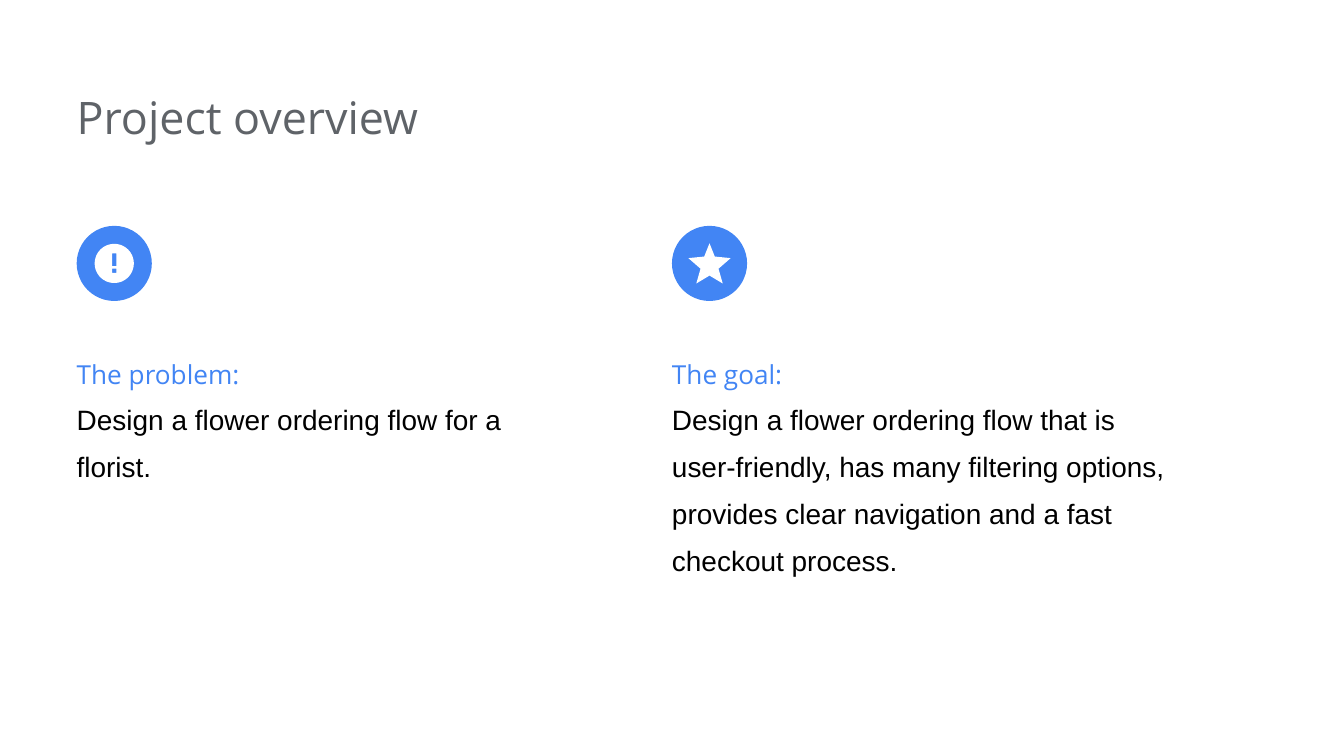
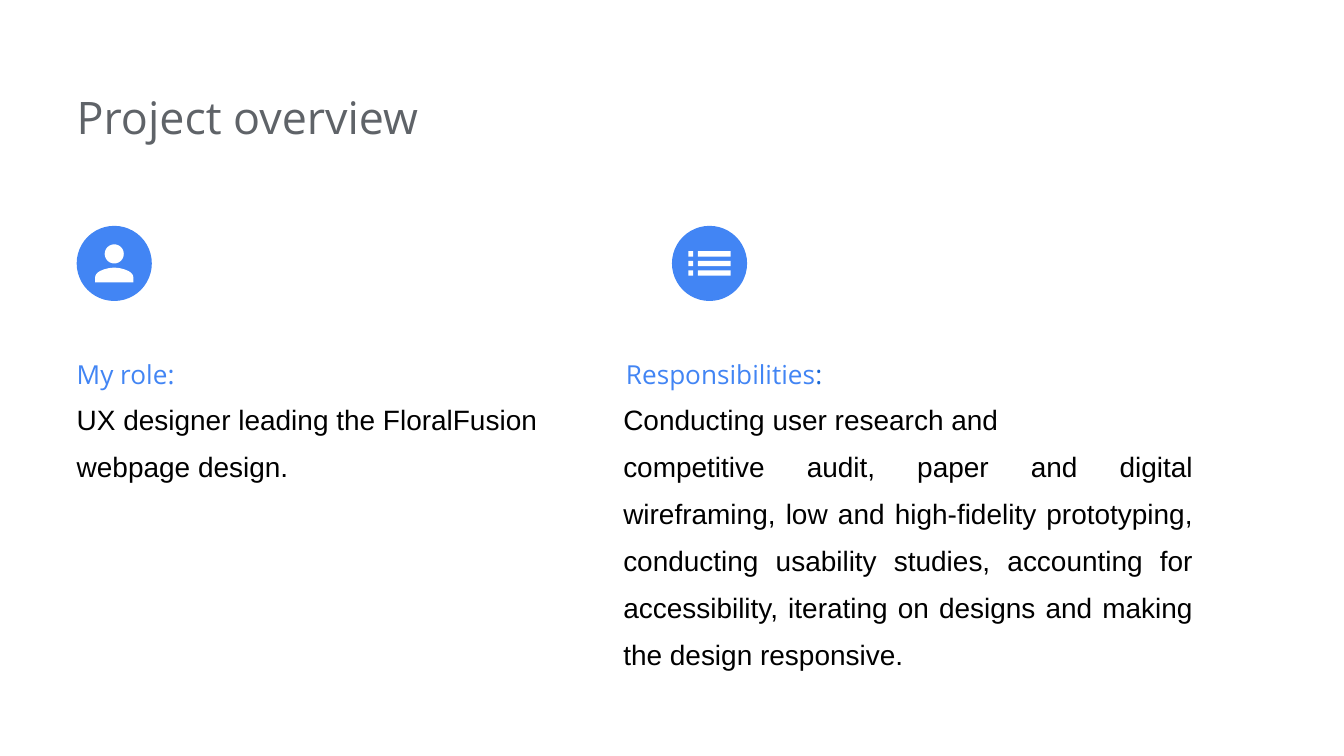
from math import cos, pi, sin

from pptx import Presentation
from pptx.dml.color import RGBColor
from pptx.enum.shapes import MSO_SHAPE
from pptx.enum.text import MSO_AUTO_SIZE, PP_ALIGN
from pptx.util import Cm, Pt

OVAL = MSO_SHAPE.OVAL
GROW = MSO_AUTO_SIZE.SHAPE_TO_FIT_TEXT
JUSTIFY = PP_ALIGN.JUSTIFY

BLUE, DARK_BLUE, GREY, BLACK, WHITE = "4285F4", "1967D2", "5F6368", "000000", "FFFFFF"
TITLE = {"name": "Open Sans", "size": Pt(24)}
HEADING = {"name": "Open Sans", "size": Pt(14)}
BODY = {"name": "Arial", "size": Pt(15)}

LEFT, RIGHT = 1.45, 12.7
BADGE_TOP, BADGE_SIZE = 4.27, 1.42
TEXT_TOP, TEXT_WIDTH = 6.22, 9.58
UNITS = 1000


def rgb(value):
    """Turn a hex string into a colour."""
    return RGBColor.from_string(value)


def paint(shape, color):
    """Give a shape a plain fill without line or shadow."""
    shape.fill.solid()
    shape.fill.fore_color.rgb = rgb(color)
    shape.line.fill.background()
    shape.shadow.inherit = False


def add_paragraph(tf, first, runs, font, layout, margins):
    """Write one paragraph of (text, colour) runs."""
    p = tf.paragraphs[0] if first else tf.add_paragraph()
    for name, value in margins.items():
        p._p.get_or_add_pPr().set(name, str(Cm(value)))
    for name, value in layout.items():
        setattr(p, name, value)
    for text, color in runs:
        r = p.add_run()
        r.text = text
        for name, value in font.items():
            setattr(r.font, name, value)
        r.font.color.rgb = rgb(color)


def add_text(s, left, top, width, height, paragraphs):
    """Add a wrapping text box holding the given paragraphs."""
    tf = s.shapes.add_textbox(Cm(left), Cm(top), Cm(width), Cm(height)).text_frame
    tf.word_wrap = True
    tf.auto_size = GROW
    tf.margin_left = 0
    tf.margin_top = tf.margin_right = tf.margin_bottom = Cm(0.25)
    for i, paragraph in enumerate(paragraphs):
        add_paragraph(tf, i == 0, *paragraph)


def heading(*runs, **margins):
    """Describe a column heading."""
    return runs, HEADING, {"line_spacing": 1.5}, margins


def body(text, layout=None, **margins):
    """Describe a column body paragraph."""
    return [(text, BLACK)], BODY, {"line_spacing": 1.4, **(layout or {})}, margins


def add_title(s, text):
    """Add the slide title."""
    add_text(s, LEFT, 1.45, 17.1, 1.55, [([(text, GREY)], TITLE, {}, {})])


def add_column(s, left, height, title, text):
    """Add a heading with one body paragraph below it."""
    add_text(s, left, TEXT_TOP, TEXT_WIDTH, height, [heading((title, BLUE)), body(text)])


def add_badge(s, left, contours):
    """Add a blue disc with a white icon drawn around its centre."""
    disc = s.shapes.add_shape(OVAL, Cm(left), Cm(BADGE_TOP), Cm(BADGE_SIZE), Cm(BADGE_SIZE))
    paint(disc, BLUE)
    cx, cy = left + BADGE_SIZE / 2, BADGE_TOP + BADGE_SIZE / 2
    builder = None
    for contour in contours:
        points = [((cx + x) * UNITS, (cy + y) * UNITS) for x, y in contour]
        if builder is None:
            builder = s.shapes.build_freeform(*points[0], scale=Cm(1) / UNITS)
        else:
            builder.move_to(*points[0])
        builder.add_line_segments(points[1:], close=True)
    paint(builder.convert_to_shape(), WHITE)


def rect(x1, y1, x2, y2):
    """Return the corners of a rectangle."""
    return [(x1, y1), (x2, y1), (x2, y2), (x1, y2)]


def circle(radius, y=0, steps=64):
    """Return points on a circle centred on the vertical axis."""
    angles = [2 * pi * i / steps for i in range(steps)]
    return [(radius * cos(a), y + radius * sin(a)) for a in angles]


def curve(a, b, c, d, steps=16):
    """Return points along a cubic Bezier curve."""
    points = []
    for i in range(steps + 1):
        t = i / steps
        weights = ((1 - t) ** 3, 3 * t * (1 - t) ** 2, 3 * t * t * (1 - t), t ** 3)
        points.append(tuple(sum(w * q[k] for w, q in zip(weights, (a, b, c, d))) for k in (0, 1)))
    return points


def mirror(half):
    """Complete an outline from its right half."""
    return half + [(-x, y) for x, y in reversed(half) if x]


def alert_icon():
    """Return a disc with an exclamation mark cut out."""
    return [circle(0.37), rect(-0.04, -0.19, 0.04, 0.05), rect(-0.04, 0.1, 0.04, 0.18)]


def star_icon():
    """Return a five-pointed star."""
    return [mirror([(0, -0.38), (0.1, -0.13), (0.4, -0.1), (0.17, 0.1), (0.25, 0.38), (0, 0.23)])]


def person_icon():
    """Return a head and shoulders."""
    shoulder = curve((0, 0.08), (0.12, 0.08), (0.36, 0.14), (0.36, 0.26))
    return [circle(0.18, -0.18), mirror(shoulder + [(0.36, 0.36)])]


def list_icon():
    """Return three bulleted rows."""
    return [rect(x1, y - 0.05, x2, y + 0.05)
            for y in (-0.18, 0, 0.18) for x1, x2 in ((-0.4, -0.31), (-0.22, 0.4))]


def add_overview(prs, left_icon, right_icon):
    """Add a slide with the shared title and two badges."""
    s = prs.slides.add_slide(prs.slide_layouts[6])
    add_title(s, "Project overview")
    add_badge(s, LEFT, left_icon)
    add_badge(s, RIGHT, right_icon)
    return s


def main():
    """Build the deck."""
    prs = Presentation()
    prs.slide_width, prs.slide_height = Cm(25.4), Cm(14.29)

    s = add_overview(prs, alert_icon(), star_icon())
    add_column(s, LEFT, 4.62, "The problem:", "Design a flower ordering flow for a florist.")
    add_column(s, RIGHT, 6.4, "The goal:",
               "Design a flower ordering flow that is user-friendly, has many filtering options, "
               "provides clear navigation and a fast checkout process.")

    s = add_overview(prs, person_icon(), list_icon())
    add_column(s, LEFT, 4.62, "My role:", "UX designer leading the FloralFusion webpage design.")
    justified = {"alignment": JUSTIFY}
    margins = {"marL": 2.64, "marR": 2.6}
    add_text(s, 9.14, TEXT_TOP, 16.26, 8.05, [
        heading(("Responsibilities", BLUE), (":", DARK_BLUE), marL=2.69),
        body("Conducting user research and", justified, **margins),
        body("competitive audit, paper and digital wireframing, low and high-fidelity "
             "prototyping, conducting usability studies, accounting for accessibility, "
             "iterating on designs and making the design responsive.", justified, **margins),
    ])

    prs.save("out.pptx")


if __name__ == "__main__":
    main()
